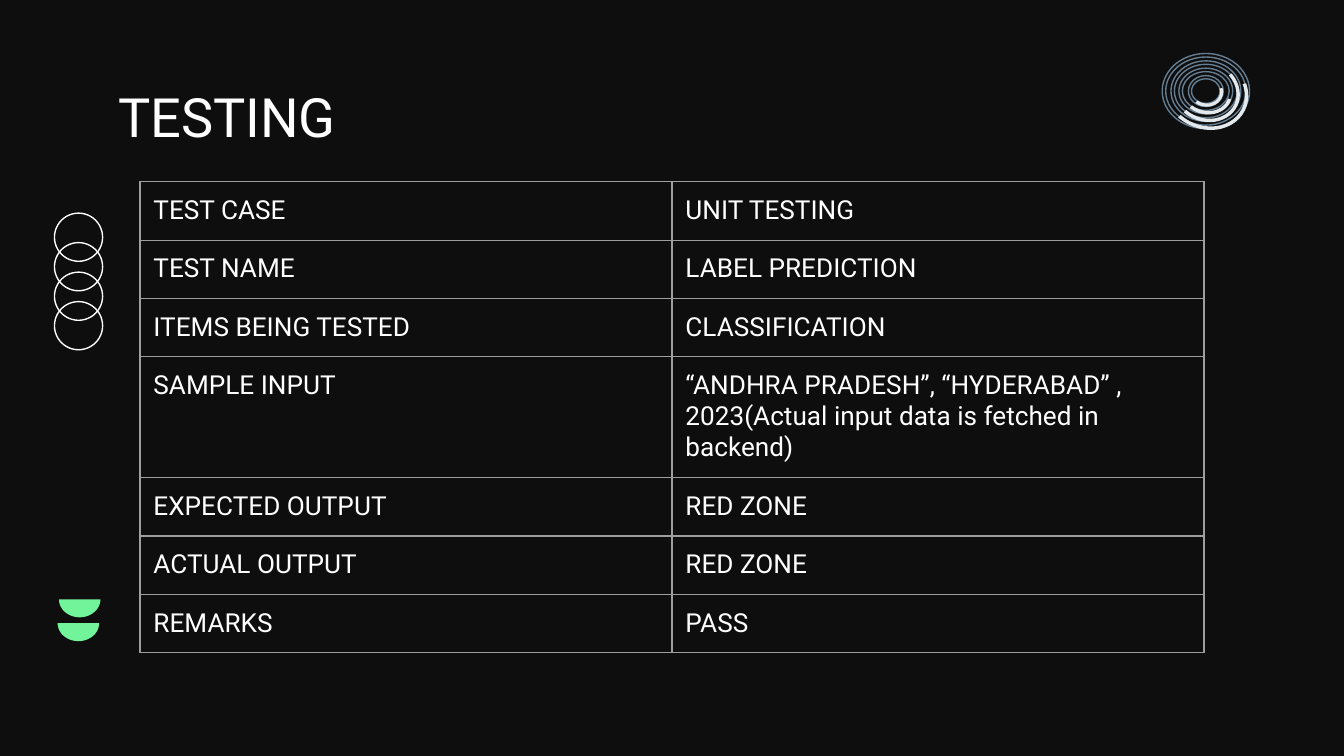
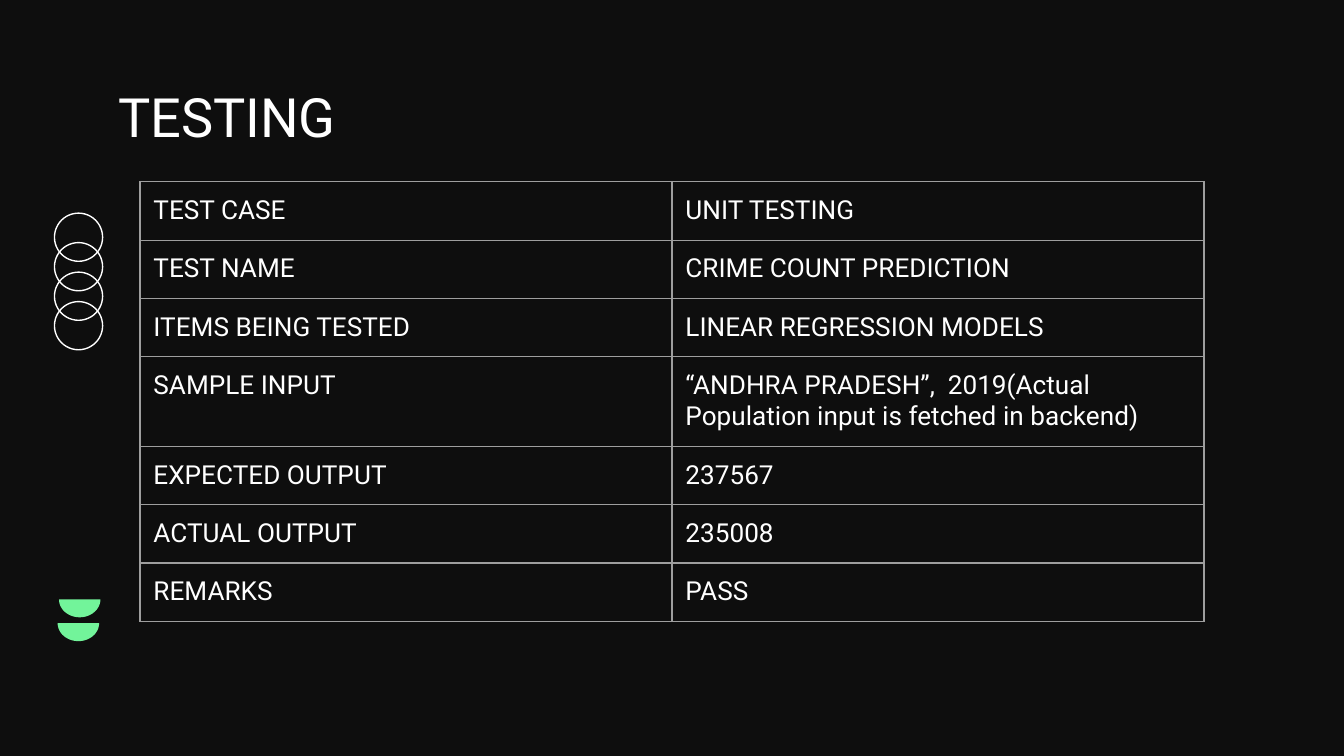
import math
from dataclasses import dataclass

from lxml import etree
from pptx import Presentation
from pptx.dml.color import RGBColor
from pptx.enum.shapes import MSO_SHAPE
from pptx.enum.text import MSO_ANCHOR
from pptx.oxml.ns import qn
from pptx.shapes.autoshape import Shape
from pptx.slide import Slide
from pptx.table import _Cell
from pptx.util import Pt

OVAL, DONUT, BLOCK_ARC = MSO_SHAPE.OVAL, MSO_SHAPE.DONUT, MSO_SHAPE.BLOCK_ARC
TOP = MSO_ANCHOR.TOP

COLOURS = {
    "background": "0E0E0E",
    "text": "FFFFFF",
    "green": "72F49A",
    "grid": "9E9E9E",
    "ring": "667E92",
    "arc": "E3E9ED",
}
FONT = "Roboto"
LINE_WIDTH = 0.75
CELL_MARGIN = 7.2

TABLE_LEFT, TABLE_TOP = 75, 97.4
COLUMN_WIDTH, ROW_HEIGHT = 285, 30.2

CIRCLE_LEFT, CIRCLE_TOP, CIRCLE_SIZE, CIRCLE_PITCH = 29.2, 114.2, 25.8, 15.8
CIRCLE_COUNT = 4
BOWL_WIDTH, BOWL_HEIGHT, BOWL_STEPS = 22.2, 9.6, 32
BOWL_CORNERS = [(30.9, 333.9), (31.6, 321.1)]
EMBLEM_X, EMBLEM_Y = 646, 48.8


@dataclass(frozen=True)
class EmblemRing:
    """A thin donut with a block arc on it; angles are in degrees."""
    width: float
    height: float
    thickness: float
    arc_start: float
    arc_end: float
    arc_rotation: float


@dataclass(frozen=True)
class TestReport:
    test_name: str
    items: str
    sample_input: str
    expected: str
    actual: str
    has_emblem: bool = False

    def rows(self) -> list[tuple[str, str]]:
        return [
            ("TEST CASE", "UNIT TESTING"),
            ("TEST NAME", self.test_name),
            ("ITEMS BEING TESTED", self.items),
            ("SAMPLE INPUT", self.sample_input),
            ("EXPECTED OUTPUT", self.expected),
            ("ACTUAL OUTPUT", self.actual),
            ("REMARKS", "PASS"),
        ]


EMBLEM_RINGS = [
    EmblemRing(46.8, 40.3, 0.047, 52.66, 199.96, 296.5),
    EmblemRing(37.4, 32.4, 0.057, 30.86, 201.01, 294.9),
    EmblemRing(28.8, 24.5, 0.076, 88.84, 204.15, 289.6),
    EmblemRing(18.7, 16.6, 0.102, 64.9, 207.01, 284.4),
]

REPORTS = [
    TestReport(
        "LABEL PREDICTION", "CLASSIFICATION",
        "“ANDHRA PRADESH”, “HYDERABAD” , 2023(Actual input data is fetched in backend)",
        "RED ZONE", "RED ZONE", has_emblem=True,
    ),
    TestReport(
        "CRIME COUNT PREDICTION", "LINEAR REGRESSION MODELS",
        "“ANDHRA PRADESH”,  2019(Actual Population input is fetched in backend)",
        "237567", "235008",
    ),
]


def colour(name: str) -> RGBColor:
    return RGBColor.from_string(COLOURS[name])


def paint(shape: Shape, fill: str | None = None, line: str | None = None) -> None:
    shape.shadow.inherit = False
    if fill:
        shape.fill.solid()
        shape.fill.fore_color.rgb = colour(fill)
    else:
        shape.fill.background()
    if line:
        shape.line.color.rgb = colour(line)
        shape.line.width = Pt(LINE_WIDTH)
    else:
        shape.line.fill.background()


def write(frame, text: str, size: float) -> None:
    frame.word_wrap = True
    paragraph = frame.paragraphs[0]
    paragraph.text = text
    paragraph.font.name = FONT
    paragraph.font.size = Pt(size)
    paragraph.font.color.rgb = colour("text")


def add_bowl(slide: Slide, left: float, top: float) -> None:
    """Draw the lower half of an ellipse."""
    radius = BOWL_WIDTH / 2
    angles = [math.pi * step / BOWL_STEPS for step in range(BOWL_STEPS + 1)]
    points = [
        (Pt(left + radius - radius * math.cos(angle)),
         Pt(top + BOWL_HEIGHT * math.sin(angle)))
        for angle in angles
    ]
    builder = slide.shapes.build_freeform(*points[0])
    builder.add_line_segments(points[1:], close=True)
    paint(builder.convert_to_shape(), fill="green")


def add_side_decoration(slide: Slide) -> None:
    for left, top in BOWL_CORNERS:
        add_bowl(slide, left, top)
    for index in range(CIRCLE_COUNT):
        circle = slide.shapes.add_shape(
            OVAL, Pt(CIRCLE_LEFT), Pt(CIRCLE_TOP + index * CIRCLE_PITCH),
            Pt(CIRCLE_SIZE), Pt(CIRCLE_SIZE))
        paint(circle, line="text")


def add_title(slide: Slide, text: str) -> None:
    box = slide.shapes.add_textbox(Pt(56.2), Pt(42.5), Pt(607.6), Pt(33.1))
    frame = box.text_frame
    frame.vertical_anchor = TOP
    frame.margin_top, frame.margin_bottom = Pt(2.2), Pt(0)
    write(frame, text, 29)


def set_borders(cell: _Cell) -> None:
    properties = cell._tc.get_or_add_tcPr()
    for side in ("lnL", "lnR", "lnT", "lnB"):
        line = etree.SubElement(properties, qn(f"a:{side}"), w=str(Pt(LINE_WIDTH)))
        fill = etree.SubElement(line, qn("a:solidFill"))
        etree.SubElement(fill, qn("a:srgbClr"), val=COLOURS["grid"])


def add_report_table(slide: Slide, rows: list[tuple[str, str]]) -> None:
    table = slide.shapes.add_table(
        len(rows), 2, Pt(TABLE_LEFT), Pt(TABLE_TOP),
        Pt(2 * COLUMN_WIDTH), Pt(len(rows) * ROW_HEIGHT)).table
    table.first_row = table.horz_banding = False
    for row_index, row in enumerate(rows):
        for column_index, text in enumerate(row):
            cell = table.cell(row_index, column_index)
            cell.margin_left = cell.margin_right = Pt(CELL_MARGIN)
            cell.margin_top = cell.margin_bottom = Pt(CELL_MARGIN)
            set_borders(cell)
            cell.fill.background()
            write(cell.text_frame, text, 14)


def add_centred(slide: Slide, kind: MSO_SHAPE, width: float, height: float) -> Shape:
    """Add a shape centred on the emblem's midpoint."""
    return slide.shapes.add_shape(
        kind, Pt(EMBLEM_X - width / 2), Pt(EMBLEM_Y - height / 2), Pt(width), Pt(height))


def add_emblem(slide: Slide) -> None:
    for ring in EMBLEM_RINGS:
        donut = add_centred(slide, DONUT, ring.width, ring.height)
        donut.adjustments[0] = ring.thickness
        paint(donut, line="ring")
    for ring in EMBLEM_RINGS:
        arc = add_centred(slide, BLOCK_ARC, ring.height, ring.width)
        arc.rotation = ring.arc_rotation
        # Angles are stored in 60000ths of a degree, adjustments in 100000ths.
        arc.adjustments[0] = ring.arc_start * 0.6
        arc.adjustments[1] = ring.arc_end * 0.6
        arc.adjustments[2] = ring.thickness
        paint(arc, fill="arc")


def main() -> None:
    presentation = Presentation()
    presentation.slide_width, presentation.slide_height = Pt(720), Pt(405)
    blank_layout = presentation.slide_layouts[6]
    for report in REPORTS:
        slide = presentation.slides.add_slide(blank_layout)
        slide.background.fill.solid()
        slide.background.fill.fore_color.rgb = colour("background")
        add_side_decoration(slide)
        add_title(slide, "TESTING")
        add_report_table(slide, report.rows())
        if report.has_emblem:
            add_emblem(slide)
    presentation.save("out.pptx")


if __name__ == "__main__":
    main()
